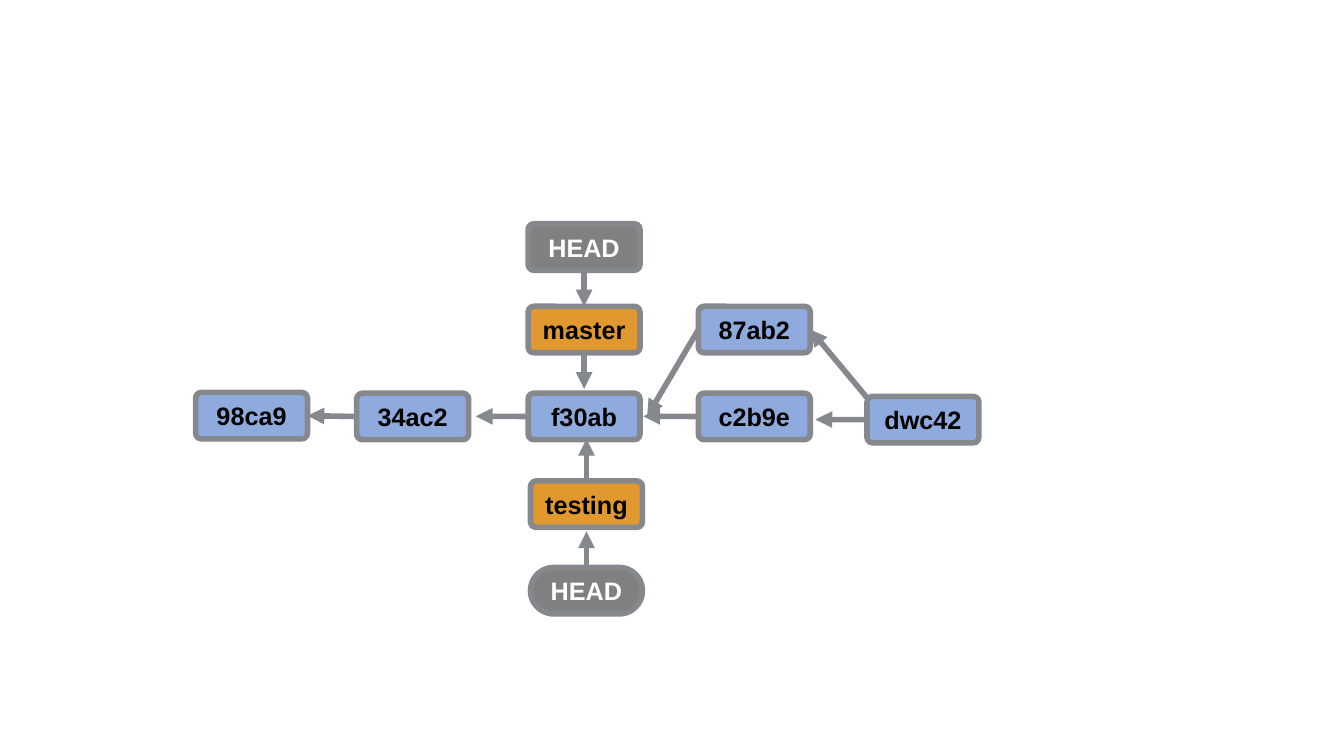
from dataclasses import dataclass

from lxml import etree
from pptx import Presentation
from pptx.dml.color import RGBColor
from pptx.enum.shapes import MSO_CONNECTOR, MSO_SHAPE
from pptx.enum.text import MSO_ANCHOR, PP_ALIGN
from pptx.oxml.ns import qn
from pptx.shapes.autoshape import Shape
from pptx.shapes.connector import Connector
from pptx.slide import Slide
from pptx.util import Cm, Pt

ROUNDED = MSO_SHAPE.ROUNDED_RECTANGLE
STRAIGHT = MSO_CONNECTOR.STRAIGHT
MIDDLE = MSO_ANCHOR.MIDDLE
CENTER = PP_ALIGN.CENTER

COLORS = {
    "commit": "8FAADC",
    "branch": "E1992F",
    "head": "808080",
    "line": "85888D",
    "dark": "000000",
    "light": "FFFFFF",
}
BOX_W, BOX_H = 2.82, 1.17
INSET = 0.15
LINE_WIDTH = Pt(4)
TOP, LEFT, BOTTOM, RIGHT = range(4)


@dataclass(frozen=True)
class Box:
    key: str
    text: str
    x: float
    y: float
    fill: str = "commit"
    color: str = "dark"
    rounding: float = 0.123


@dataclass(frozen=True)
class Joint:
    key: str
    side: int


@dataclass(frozen=True)
class Point:
    x: float
    y: float


@dataclass(frozen=True)
class Arrow:
    start: Joint | Point
    end: Joint | Point


BOXES = [
    Box("98ca9", "98ca9", 4.93, 9.89),
    Box("34ac2", "34ac2", 8.99, 9.91),
    Box("f30ab", "f30ab", 13.31, 9.91),
    Box("c2b9e", "c2b9e", 17.6, 9.91),
    Box("87ab2", "87ab2", 17.6, 7.72),
    Box("dwc42", "dwc42", 21.85, 9.99),
    Box("master", "master", 13.31, 7.72, "branch"),
    Box("testing", "testing", 13.37, 12.12, "branch"),
    Box("master head", "HEAD", 13.31, 5.64, "head", "light"),
    Box("testing head", "HEAD", 13.37, 14.3, "head", "light", 0.5),
]

ARROWS = [
    Arrow(Joint("34ac2", LEFT), Joint("98ca9", RIGHT)),
    Arrow(Joint("f30ab", LEFT), Point(11.99, 10.49)),
    Arrow(Joint("c2b9e", LEFT), Point(16.21, 10.49)),
    Arrow(Joint("87ab2", LEFT), Point(16.31, 10.49)),
    Arrow(Joint("dwc42", LEFT), Point(20.55, 10.57)),
    Arrow(Point(21.84, 10.01), Joint("87ab2", RIGHT)),
    Arrow(Joint("master head", BOTTOM), Joint("master", TOP)),
    Arrow(Joint("master", BOTTOM), Point(14.72, 9.8)),
    Arrow(Joint("testing head", TOP), Point(14.78, 13.39)),
    Arrow(Joint("testing", TOP), Point(14.78, 11.06)),
]


def rgb(name: str) -> RGBColor:
    return RGBColor.from_string(COLORS[name])


def style_line(shape: Shape | Connector) -> None:
    shape.line.color.rgb = rgb("line")
    shape.line.width = LINE_WIDTH


def draw_box(s: Slide, box: Box) -> Shape:
    sp = s.shapes.add_shape(ROUNDED, Cm(box.x), Cm(box.y), Cm(BOX_W), Cm(BOX_H))
    sp.adjustments[0] = box.rounding
    sp.shadow.inherit = False
    sp.fill.solid()
    sp.fill.fore_color.rgb = rgb(box.fill)
    style_line(sp)
    tf = sp.text_frame
    tf.margin_left = tf.margin_right = tf.margin_top = tf.margin_bottom = Cm(INSET)
    tf.vertical_anchor = MIDDLE
    tf.word_wrap = False
    p = tf.paragraphs[0]
    p.text = box.text
    p.alignment = CENTER
    p.font.name = "Arial"
    p.font.size = Pt(18)
    p.font.bold = True
    p.font.color.rgb = rgb(box.color)
    return sp


def draw_arrow(s: Slide, arrow: Arrow, shapes: dict[str, Shape]) -> None:
    cx = s.shapes.add_connector(STRAIGHT, 0, 0, 0, 0)
    if isinstance(arrow.start, Joint):
        cx.begin_connect(shapes[arrow.start.key], arrow.start.side)
    else:
        cx.begin_x, cx.begin_y = Cm(arrow.start.x), Cm(arrow.start.y)
    if isinstance(arrow.end, Joint):
        cx.end_connect(shapes[arrow.end.key], arrow.end.side)
    else:
        cx.end_x, cx.end_y = Cm(arrow.end.x), Cm(arrow.end.y)
    style_line(cx)
    sp_pr = cx._element.spPr
    etree.SubElement(sp_pr.find(qn("a:ln")), qn("a:tailEnd"), type="triangle")
    etree.SubElement(sp_pr, qn("a:effectLst"))


def main() -> None:
    prs = Presentation()
    prs.slide_width, prs.slide_height = Cm(33.87), Cm(19.05)
    s = prs.slides.add_slide(prs.slide_layouts[6])
    shapes = {box.key: draw_box(s, box) for box in BOXES}
    for arrow in ARROWS:
        draw_arrow(s, arrow, shapes)
    prs.save("out.pptx")


if __name__ == "__main__":
    main()
